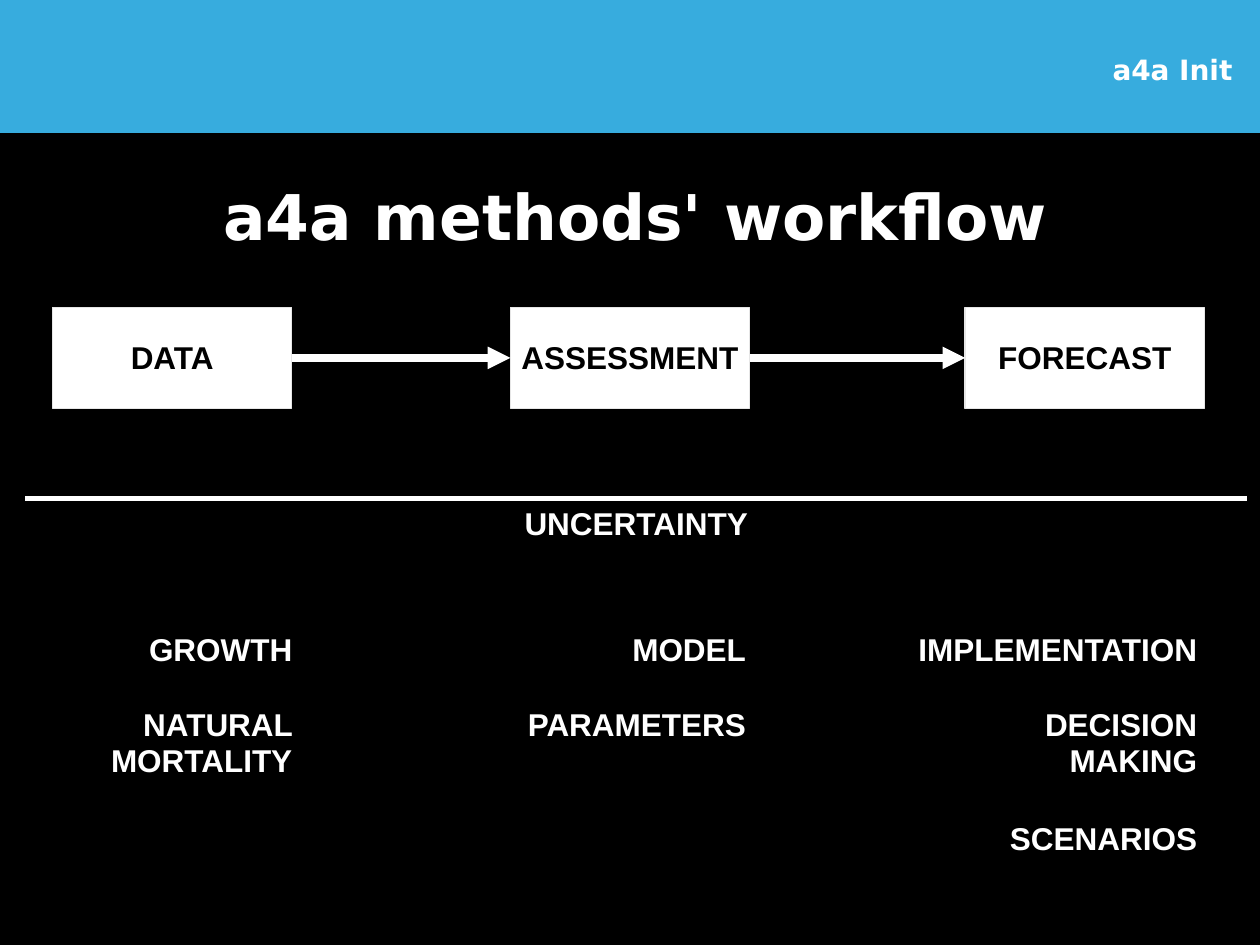
from lxml import etree
from pptx import Presentation
from pptx.dml.color import RGBColor
from pptx.enum.shapes import MSO_CONNECTOR, MSO_SHAPE
from pptx.enum.text import MSO_ANCHOR, PP_ALIGN
from pptx.oxml.ns import qn
from pptx.util import Pt

RECTANGLE = MSO_SHAPE.RECTANGLE
STRAIGHT, ELBOW = MSO_CONNECTOR.STRAIGHT, MSO_CONNECTOR.ELBOW
TOP, MIDDLE = MSO_ANCHOR.TOP, MSO_ANCHOR.MIDDLE
CENTER, RIGHT = PP_ALIGN.CENTER, PP_ALIGN.RIGHT
LEFT_SIDE, RIGHT_SIDE = 1, 3

WHITE, BLACK, BLUE, PALE_GRAY = "FFFFFF", "000000", "37ACDE", "E6E6E6"
BODY_FONT, HEADING_FONT = "Arial", "DejaVu Sans"
BODY_INSETS = (7.2, 4.4, 7.2, 3.6)


def color(hex_string):
    return RGBColor.from_string(hex_string)


def write(shape, text, align, ink=WHITE, size=18, font=BODY_FONT,
          anchor=TOP, spacing=0.94, insets=BODY_INSETS, wrap=True):
    frame = shape.text_frame
    frame.word_wrap = wrap
    frame.vertical_anchor = anchor
    frame.margin_left, frame.margin_top, frame.margin_right, frame.margin_bottom = map(Pt, insets)
    paragraph = frame.paragraphs[0]
    paragraph.text = text
    paragraph.alignment = align
    paragraph.line_spacing = spacing
    paragraph.font.name = font
    paragraph.font.size = Pt(size)
    paragraph.font.bold = True
    paragraph.font.color.rgb = color(ink)


def add_label(slide, box, text, align, **style):
    label = slide.shapes.add_textbox(*map(Pt, box))
    write(label, text, align, **style)


def add_panel(slide, box, fill, outline):
    panel = slide.shapes.add_shape(RECTANGLE, *map(Pt, box))
    panel.shadow.inherit = False
    panel.fill.solid()
    panel.fill.fore_color.rgb = color(fill)
    panel.line.color.rgb = color(outline)
    panel.line.width = Pt(0.75)
    return panel


def add_line(slide, kind, ends, width):
    line = slide.shapes.add_connector(kind, *map(Pt, ends))
    line.line.color.rgb = color(WHITE)
    line.line.width = Pt(width)
    etree.SubElement(line._element.spPr, qn("a:effectLst"))
    return line


def add_arrow(slide, source, target):
    arrow = add_line(slide, ELBOW, (0, 0, 0, 0), 4.3)
    arrow.begin_connect(source, RIGHT_SIDE)
    arrow.end_connect(target, LEFT_SIDE)
    etree.SubElement(arrow.line._get_or_add_ln(), qn("a:tailEnd"), type="triangle")


def add_header(slide):
    add_panel(slide, (0, 0, 720, 75.6), BLUE, BLUE)
    add_label(slide, (5.8, 74.9, 714.2, 99.4), "a4a methods' workflow", CENTER,
              size=36, font=HEADING_FONT, anchor=MIDDLE, spacing=0.98, insets=(0, 0.7, 0, 0))
    add_label(slide, (524.2, 14.4, 187.2, 50.4), "a4a Init", RIGHT,
              size=16, font=HEADING_FONT, anchor=MIDDLE, spacing=1, insets=(7.2, 3.6, 7.2, 3.6))


def add_uncertainty(slide):
    left, top, width = 14.4, 285.1, 698.4
    band = add_panel(slide, (left, top, width, 28.8), BLACK, BLACK)
    write(band, "UNCERTAINTY", CENTER, wrap=False)
    add_line(slide, STRAIGHT, (left, top, left + width, top), 2.9)

    row_tops = (357.1, 400.3, 465.1)
    columns = (
        (174.2, (("GROWTH", 137), ("NATURAL MORTALITY", 137))),
        (433.4, (("MODEL", 137), ("PARAMETERS", 144))),
        (691.2, (("IMPLEMENTATION", 180), ("DECISION MAKING", 137), ("SCENARIOS", 180))),
    )
    for right, sources in columns:
        for row_top, (source, source_width) in zip(row_tops, sources):
            height = 47.5 if " " in source else 27.4
            add_label(slide, (right - source_width, row_top, source_width, height), source, RIGHT)


def add_workflow(slide):
    stages = []
    for left, name in ((30, "DATA"), (291.6, "ASSESSMENT"), (551.5, "FORECAST")):
        stage = add_panel(slide, (left, 175.7, 136.8, 57.6), WHITE, PALE_GRAY)
        write(stage, name, CENTER, ink=BLACK, anchor=MIDDLE, wrap=False)
        stages.append(stage)
    for source, target in zip(stages, stages[1:]):
        add_arrow(slide, source, target)


def main():
    deck = Presentation()
    deck.slide_width, deck.slide_height = Pt(720), Pt(540)
    slide = deck.slides.add_slide(deck.slide_layouts[6])
    slide.background.fill.solid()
    slide.background.fill.fore_color.rgb = color(BLACK)
    add_header(slide)
    add_uncertainty(slide)
    add_workflow(slide)
    deck.save("out.pptx")


if __name__ == "__main__":
    main()
